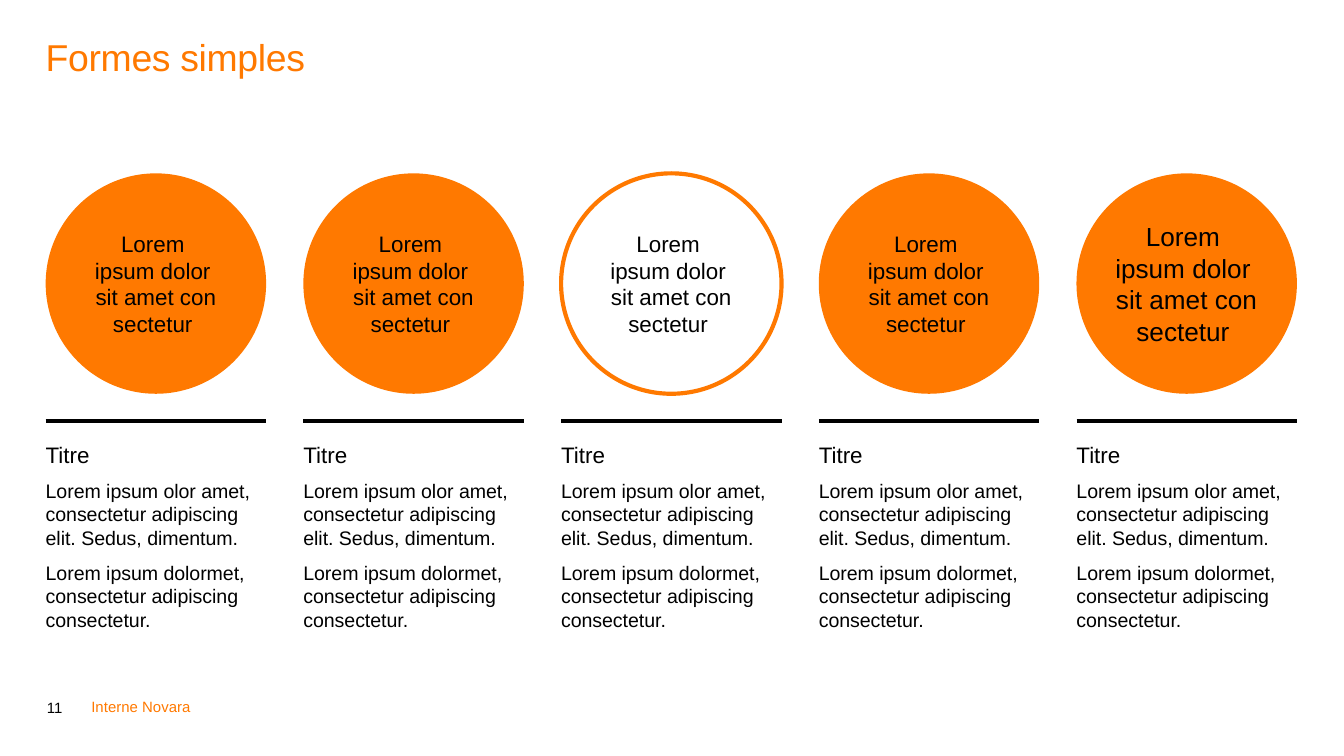
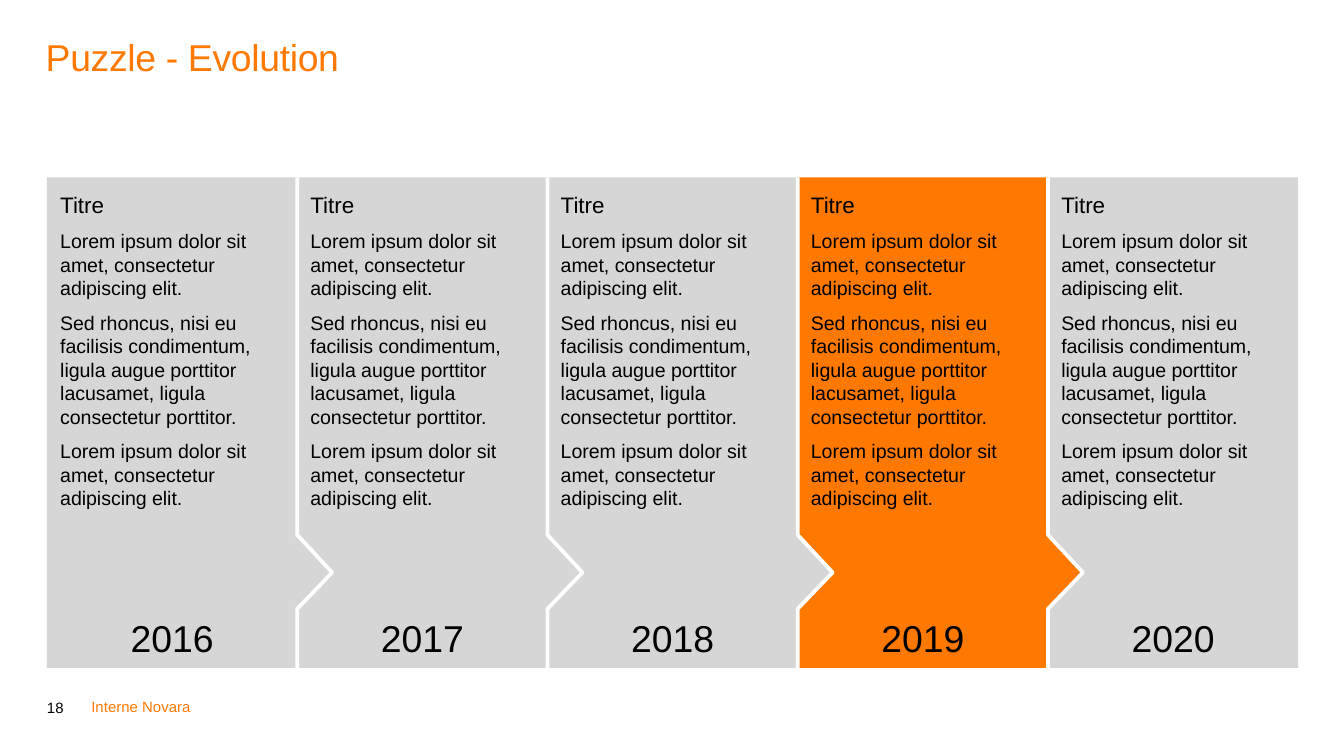
from dataclasses import dataclass

from lxml.etree import SubElement
from pptx import Presentation
from pptx.dml.color import RGBColor
from pptx.enum.shapes import MSO_CONNECTOR, MSO_SHAPE
from pptx.enum.text import MSO_ANCHOR as Anchor, PP_ALIGN as Align
from pptx.oxml.ns import qn
from pptx.util import Inches, Pt

COLUMN_TITLE = "Titre"
CIRCLE_TEXT = "Lorem \vipsum dolor \vsit amet con\vsectetur "
FOOTER = "Interne Novara"

CIRCLES_PAGE = {
    "title": "Formes simples",
    "number": 11,
    "circles": [  # style, text size
        ("solid", 12),
        ("solid", 12),
        ("outline", 12),
        ("solid", 12),
        ("solid", 14),
    ],
    "body": [
        "Lorem ipsum olor amet, consectetur adipiscing elit. Sedus, dimentum.",
        "Lorem ipsum dolormet, consectetur adipiscing consectetur.",
    ],
}

PUZZLE_PAGE = {
    "title": "Puzzle - Evolution",
    "number": 18,
    "years": ["2016", "2017", "2018", "2019", "2020"],
    "active": "2019",
    "body": [
        "Lorem ipsum dolor sit amet, consectetur adipiscing elit.",
        "Sed rhoncus, nisi eu facilisis condimentum, ligula augue porttitor "
        "lacusamet, ligula consectetur porttitor.",
        "Lorem ipsum dolor sit amet, consectetur adipiscing elit.",
    ],
}


@dataclass(frozen=True)
class Theme:
    font: str = "Arial"
    accent: RGBColor = RGBColor(0xFF, 0x79, 0x00)
    ink: RGBColor = RGBColor(0, 0, 0)
    paper: RGBColor = RGBColor(0xFF, 0xFF, 0xFF)
    panel: RGBColor = RGBColor(0xD6, 0xD6, 0xD6)
    title_size: float = 20
    heading_size: float = 12
    body_size: float = 10.5
    footer_size: float = 8
    paragraph_gap: float = 6


THEME = Theme()
LEFT, RIGHT = 0.34, 9.65


def write(shape, paragraphs, align=Align.LEFT, anchor=Anchor.TOP,
          insets=(0, 0, 0, 0), wrap=True, color=THEME.ink, spacing=None):
    """Fill a shape with (text, size) paragraphs."""
    frame = shape.text_frame
    frame.word_wrap = wrap
    frame.vertical_anchor = anchor
    (frame.margin_left, frame.margin_top,
     frame.margin_right, frame.margin_bottom) = map(Inches, insets)
    for index, (text, size) in enumerate(paragraphs):
        para = frame.add_paragraph() if index else frame.paragraphs[0]
        para.text = text
        para.alignment = align
        if index:
            para.space_before = Pt(THEME.paragraph_gap)
        if spacing:
            para.line_spacing = spacing
        for span in para.runs:
            span.font.name = THEME.font
            span.font.size = Pt(size)
            span.font.color.rgb = color


def add_text(page, left, top, width, height, paragraphs, **style):
    box = page.shapes.add_textbox(*map(Inches, (left, top, width, height)))
    write(box, paragraphs, **style)
    return box


def paint(shape, fill=None, line=None, width=0):
    shape.shadow.inherit = False
    if fill is None:
        shape.fill.background()
    else:
        shape.fill.solid()
        shape.fill.fore_color.rgb = fill
    if line is None:
        shape.line.fill.background()
    else:
        shape.line.color.rgb = line
        shape.line.width = Pt(width)


def add_outline(page, points, close):
    corners = [(Inches(x), Inches(y)) for x, y in points]
    builder = page.shapes.build_freeform(*corners[0])
    builder.add_line_segments(corners[1:], close=close)
    return builder.convert_to_shape()


def add_rule(page, left, top, width):
    rule = page.shapes.add_connector(
        MSO_CONNECTOR.STRAIGHT,
        *map(Inches, (left, top, left + width, top)))
    rule.line.color.rgb = THEME.ink
    rule.line.width = Pt(2)
    SubElement(rule._element.spPr, qn("a:effectLst"))


def titled(body):
    return ([(COLUMN_TITLE, THEME.heading_size)]
            + [(text, THEME.body_size) for text in body])


def add_footer(page, number):
    add_text(page, LEFT, 4.96, 0.3, 0.37, [(str(number), THEME.footer_size)],
             anchor=Anchor.BOTTOM, insets=(0.01, 0, 0, 0), spacing=0.85)
    add_text(page, 0.68, 5.19, 0.81, 0.13, [(FOOTER, THEME.footer_size)],
             wrap=False, color=THEME.accent)


def add_title(page, title):
    box = add_text(page, LEFT, 0.29, RIGHT - LEFT, 0.81,
                   [(title, THEME.title_size)],
                   color=THEME.accent, spacing=0.9)
    for span in box.text_frame.paragraphs[0].runs:
        span._r.get_or_add_rPr().set("spc", "-20")


def build_circles(page, content):
    diameter = 1.64
    circles = content["circles"]
    pitch = (RIGHT - LEFT - diameter) / (len(circles) - 1)
    add_footer(page, content["number"])
    add_title(page, content["title"])
    for index, (style, size) in enumerate(circles):
        left = LEFT + index * pitch
        circle = page.shapes.add_shape(
            MSO_SHAPE.OVAL,
            *map(Inches, (left, 1.29, diameter, diameter)))
        if style == "outline":
            paint(circle, THEME.paper, THEME.accent, 2.25)
        else:
            paint(circle, THEME.accent)
        write(circle, [(CIRCLE_TEXT, size)], align=Align.CENTER,
              anchor=Anchor.MIDDLE, insets=(0.1, 0.05, 0.1, 0.05), wrap=False)
        add_rule(page, left, 3.13, diameter)
        add_text(page, left, 3.28, 1.63, 1.43, titled(content["body"]))


def build_puzzle(page, content):
    left, right, top, bottom = 0.35, 9.66, 1.32, 4.97
    notch_top, notch_middle, notch_bottom, notch_depth = 3.98, 4.26, 4.53, 0.26
    years = content["years"]
    width = (right - left) / len(years)
    last = len(years) - 1

    def notched_edge(x):
        return [(x, top), (x, notch_top), (x + notch_depth, notch_middle),
                (x, notch_bottom), (x, bottom)]

    add_footer(page, content["number"])
    # Right to left, so that each arrow tip lies over the next panel
    for index in reversed(range(len(years))):
        start = left + index * width
        if index == last:
            panel = page.shapes.add_shape(
                MSO_SHAPE.RECTANGLE,
                *map(Inches, (start, top, width, bottom - top)))
        else:
            panel = add_outline(
                page,
                [(start, top), *notched_edge(start + width), (start, bottom)],
                close=True)
        active = years[index] == content["active"]
        paint(panel, THEME.accent if active else THEME.panel)
        right_inset = 0.1 if index == last else 0.35
        write(panel, titled(content["body"]),
              insets=(0.1, 0.1, right_inset, 0.1))

    add_title(page, content["title"])
    for index, year in enumerate(years):
        start = left + index * width
        if index:
            edge = add_outline(page, notched_edge(start), close=False)
            paint(edge, line=THEME.paper, width=2)
        add_text(page, start, 4.52, width, 0.45, [(year, THEME.title_size)],
                 align=Align.CENTER, anchor=Anchor.MIDDLE,
                 insets=(0.1, 0.05, 0.1, 0.05))


def main():
    deck = Presentation()
    deck.slide_width = Inches(10)
    deck.slide_height = Inches(10) * 9 // 16
    blank = deck.slide_layouts[6]
    build_circles(deck.slides.add_slide(blank), CIRCLES_PAGE)
    build_puzzle(deck.slides.add_slide(blank), PUZZLE_PAGE)
    deck.save("out.pptx")


if __name__ == "__main__":
    main()
